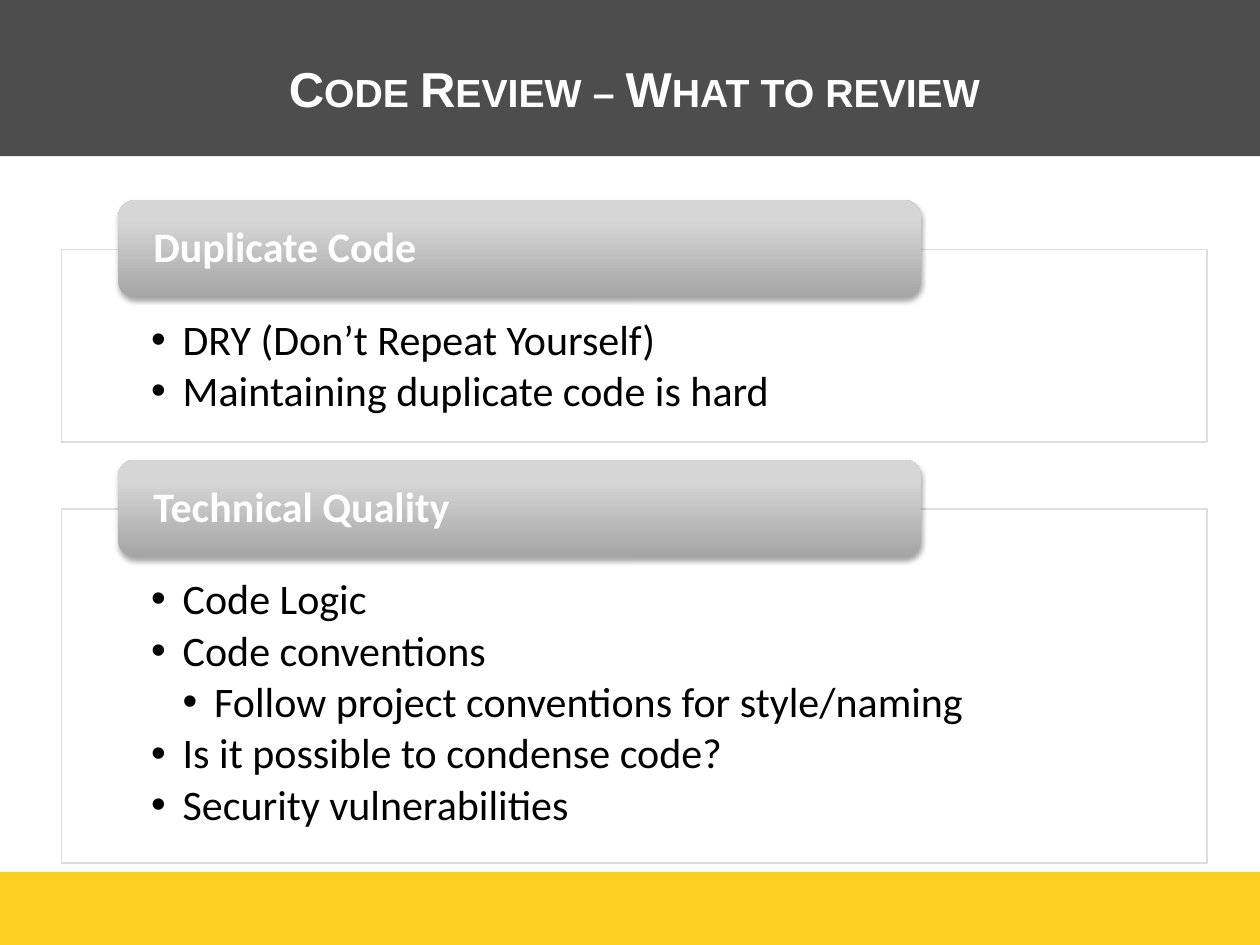
from pptx import Presentation
from pptx.dml.color import RGBColor
from pptx.enum import shapes, text
from pptx.oxml import parse_xml
from pptx.oxml.ns import nsdecls
from pptx.util import Inches, Pt

# Content
TITLE = "Code Review – What to review"
PANELS = [  # top, height, heading, (level, bullet)
    (1.98, 1.53, "Duplicate Code", [
        (1, "DRY (Don’t Repeat Yourself)"),
        (1, "Maintaining duplicate code is hard"),
    ]),
    (4.04, 2.81, "Technical Quality", [
        (1, "Code Logic"),
        (1, "Code conventions"),
        (2, "Follow project conventions for style/naming"),
        (1, "Is it possible to condense code?"),
        (1, "Security vulnerabilities"),
    ]),
]
COLORS = {"white": "FFFFFF", "dark": "4D4D4D", "gold": "FBCE20",
          "edge": "DDDDDD", "ink": "000000"}
STOPS = [(0, "A5A5A5"), (80, "D6D6D6"), (100, "D7D7D7")]
BANDS = [(0, 1.24, "dark"), (1.26, 0.44, "white"), (6.92, 0.58, "gold")]
LEFT, WIDE = 0.49, 9.09
TAB = (0.94, 6.37, 0.77)  # left, width, height
RISE = 0.39  # how far a tab stands above its panel
INDENT = 0.25

HEAD = {"name": "Arial", "size": Pt(28), "bold": True}
LABEL = {"name": "Calibri", "size": Pt(24), "bold": True}
ITEM = {"name": "Calibri", "size": Pt(24), "bold": False}

deck = Presentation()
deck.slide_width, deck.slide_height = Inches(10), Inches(7.5)
slide = deck.slides.add_slide(deck.slide_layouts[6])


def rgb(name):
    return RGBColor.from_string(COLORS[name])


def add_box(kind, box, fill=None, edge=None):
    shape = slide.shapes.add_shape(kind, *map(Inches, box))
    if fill:
        shape.fill.solid()
        shape.fill.fore_color.rgb = rgb(fill)
    if edge:
        shape.line.color.rgb = rgb(edge)
        shape.line.width = Pt(0.75)
    else:
        shape.line.fill.background()
    shape.shadow.inherit = False
    return shape


def set_frame(shape, anchor, insets):
    frame = shape.text_frame
    frame.word_wrap = True
    frame.vertical_anchor = anchor
    sides = ("left", "top", "right", "bottom")
    for side, inset in zip(sides, insets):
        setattr(frame, f"margin_{side}", Inches(inset))
    return frame


def write(para, words, style, color, align=text.PP_ALIGN.LEFT):
    para.alignment = align
    run = para.add_run()
    run.text = words
    for key, value in style.items():
        setattr(run.font, key, value)
    run.font.color.rgb = rgb(color)
    return run


def add_bullet(para, level):
    props = para._p.get_or_add_pPr()
    props.set("marL", str(Inches(INDENT * level)))
    props.set("indent", str(-Inches(INDENT)))
    for tag in ('buFont {} typeface="Arial"', 'buChar {} char="•"'):
        props.append(parse_xml(f"<a:{tag.format(nsdecls('a'))}/>"))


def shade(shape):
    """Give a tab its vertical gradient and soft shadow."""
    stops = "".join(f'<a:gs pos="{pos * 1000}"><a:srgbClr val="{color}"/></a:gs>'
                    for pos, color in STOPS)
    props = shape._element.spPr
    props.insert(2, parse_xml(
        f'<a:gradFill {nsdecls("a")} rotWithShape="1"><a:gsLst>{stops}</a:gsLst>'
        '<a:lin ang="16200000" scaled="0"/></a:gradFill>'))
    props.find("{*}effectLst").append(parse_xml(
        f'<a:outerShdw {nsdecls("a")} blurRad="{Pt(3.1)}" dist="{Pt(1.8)}" '
        'dir="5400000" rotWithShape="0"><a:srgbClr val="000000">'
        '<a:alpha val="35000"/></a:srgbClr></a:outerShdw>'))


# Background bands
RECT = shapes.MSO_SHAPE.RECTANGLE
for top, high, color in BANDS:
    add_box(RECT, (0, top, 10, high), color)

# Title
box = slide.shapes.add_textbox(*map(Inches, (LEFT, 0.16, WIDE, 1.08)))
frame = set_frame(box, text.MSO_ANCHOR.MIDDLE, (0.1, 0.05, 0.1, 0.05))
run = write(frame.paragraphs[0], TITLE, HEAD, "white", text.PP_ALIGN.CENTER)
run.font._element.set("cap", "small")

# Panels, each with a tab over its top edge
for top, high, heading, items in PANELS:
    panel = add_box(RECT, (LEFT, top, WIDE, high), "white", "edge")
    tint = panel._element.spPr.find("{*}solidFill")[0]
    tint.append(parse_xml(f'<a:alpha {nsdecls("a")} val="90000"/>'))
    frame = set_frame(panel, text.MSO_ANCHOR.TOP, (0.71, 0.55, 0.71, 0.19))
    for i, (level, words) in enumerate(items):
        para = frame.add_paragraph() if i else frame.paragraphs[0]
        write(para, words, ITEM, "ink")
        para.line_spacing = 0.9
        para.space_after = Pt(3.5)
        add_bullet(para, level)

    left, wide, tall = TAB
    tab = add_box(shapes.MSO_SHAPE.ROUNDED_RECTANGLE,
                  (left, top - RISE, wide, tall))
    shade(tab)
    frame = set_frame(tab, text.MSO_ANCHOR.MIDDLE, (0.24, 0, 0.24, 0))
    para = frame.paragraphs[0]
    write(para, heading, LABEL, "white")
    para.line_spacing = 0.9

deck.save("out.pptx")
